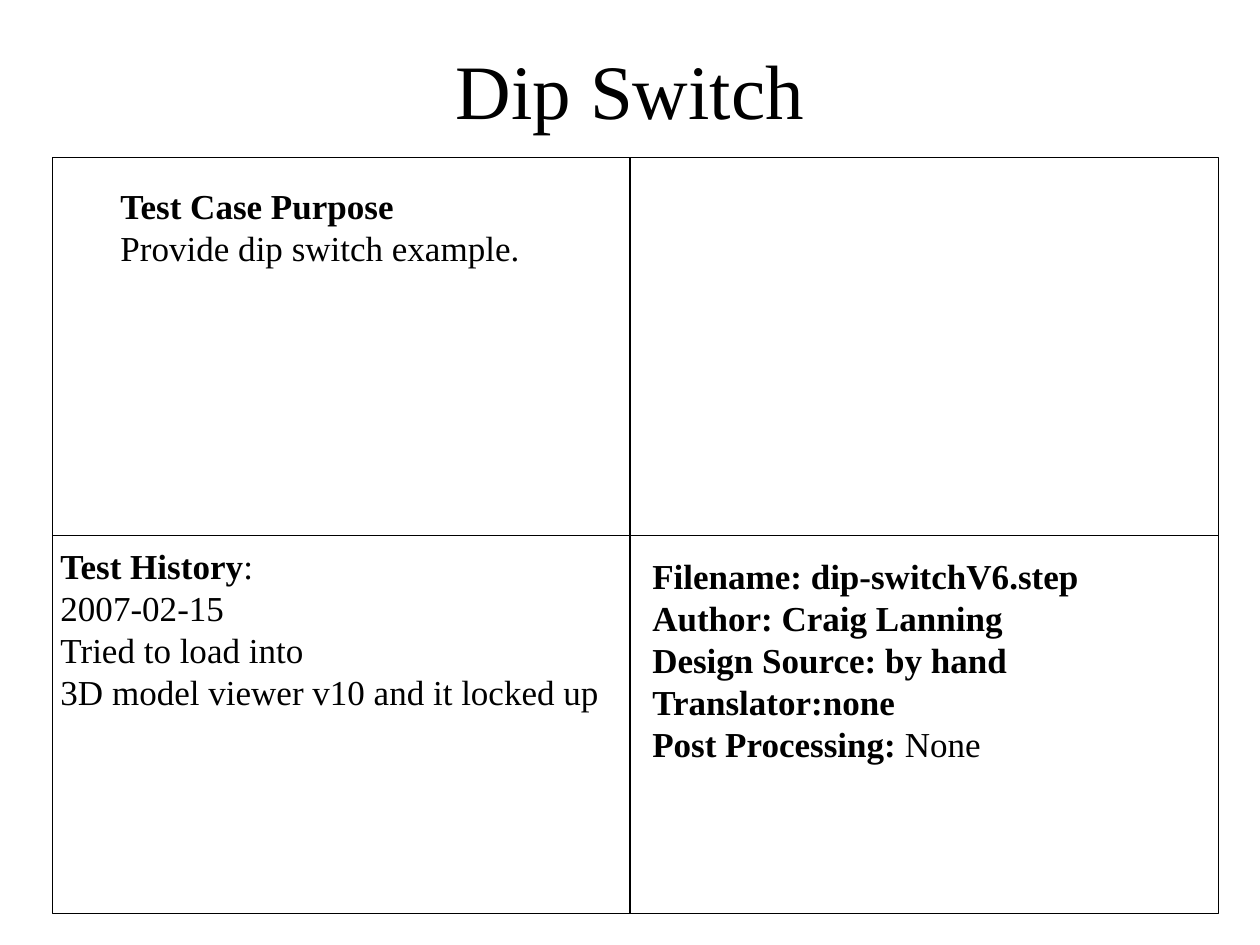
from pptx import Presentation
from pptx import util as u
from pptx.dml.color import RGBColor
from pptx.enum import shapes, text
from pptx.oxml.ns import qn
from lxml import etree

BLACK = RGBColor(0, 0, 0)
FONT = "Times New Roman"
LEFT, TOP, WIDTH, HEIGHT = 1.06, 3.18, 23.5, 15.24
RIGHT, BOTTOM = LEFT + WIDTH, TOP + HEIGHT
MIDDLE_X, MIDDLE_Y = 12.7, TOP + HEIGHT / 2

PURPOSE = [[("Test Case Purpose", True), ("\n", False), ("Provide dip switch example.", False)]]
HISTORY = [
    [("Test History", True), (":", False)],
    [("2007-02-15", False)],
    [("Tried to load into", False)],
    [("3D model viewer v10 and it locked up", False)],
]
DETAILS = [
    [("Filename: dip-switchV6.step", True)],
    [("Author: Craig Lanning", True)],
    [("Design Source: by hand", True)],
    [("Translator:none", True)],
    [("Post Processing: ", True), ("None", False)],
]


def style_font(font, size, bold=False):
    font.name = FONT
    font.size = u.Pt(size)
    font.bold = bold
    font.color.rgb = BLACK


def style_line(line):
    line.color.rgb = BLACK
    line.width = u.Pt(0.75)


def add_title(slide, title):
    shape = slide.shapes.title
    shape.left, shape.top = u.Cm(1.9), u.Cm(0.2)
    shape.width, shape.height = u.Cm(21.6), u.Cm(3.18)
    frame = shape.text_frame
    frame.text = title
    frame.vertical_anchor = text.MSO_ANCHOR.MIDDLE
    paragraph = frame.paragraphs[0]
    paragraph.alignment = text.PP_ALIGN.CENTER
    style_font(paragraph.runs[0].font, 44)


def add_frame(slide):
    shape = slide.shapes.add_shape(
        shapes.MSO_SHAPE.RECTANGLE, u.Cm(LEFT), u.Cm(TOP), u.Cm(WIDTH), u.Cm(HEIGHT))
    shape.shadow.inherit = False
    shape.fill.background()
    style_line(shape.line)


def add_divider(slide, *ends):
    connector = slide.shapes.add_connector(
        shapes.MSO_CONNECTOR.STRAIGHT, *(u.Cm(end) for end in ends))
    style_line(connector.line)
    etree.SubElement(connector._element.spPr, qn("a:effectLst"))


def add_note(slide, left, top, width, height, paragraphs, wrap=True):
    box = slide.shapes.add_textbox(u.Cm(left), u.Cm(top), u.Cm(width), u.Cm(height))
    frame = box.text_frame
    frame.word_wrap = wrap
    frame.auto_size = text.MSO_AUTO_SIZE.SHAPE_TO_FIT_TEXT
    for index, pieces in enumerate(paragraphs):
        paragraph = frame.add_paragraph() if index else frame.paragraphs[0]
        style_font(paragraph.font, 20)
        for words, bold in pieces:
            if words == "\n":
                paragraph.add_line_break()
                continue
            run = paragraph.add_run()
            run.text = words
            style_font(run.font, 20, bold)


def main():
    presentation = Presentation()
    presentation.slide_width, presentation.slide_height = u.Cm(25.4), u.Cm(19.05)
    slide = presentation.slides.add_slide(presentation.slide_layouts[5])
    add_title(slide, "Dip Switch")
    add_frame(slide)
    add_divider(slide, MIDDLE_X, TOP, MIDDLE_X, BOTTOM)
    add_divider(slide, LEFT, MIDDLE_Y, RIGHT, MIDDLE_Y)
    add_note(slide, 2.18, 3.6, 8.56, 2.62, PURPOSE, wrap=False)
    add_note(slide, 12.9, 11.05, 10.72, 6.05, DETAILS)
    add_note(slide, 0.97, 10.85, 11.6, 3.4, HISTORY)
    presentation.save("out.pptx")


if __name__ == "__main__":
    main()
